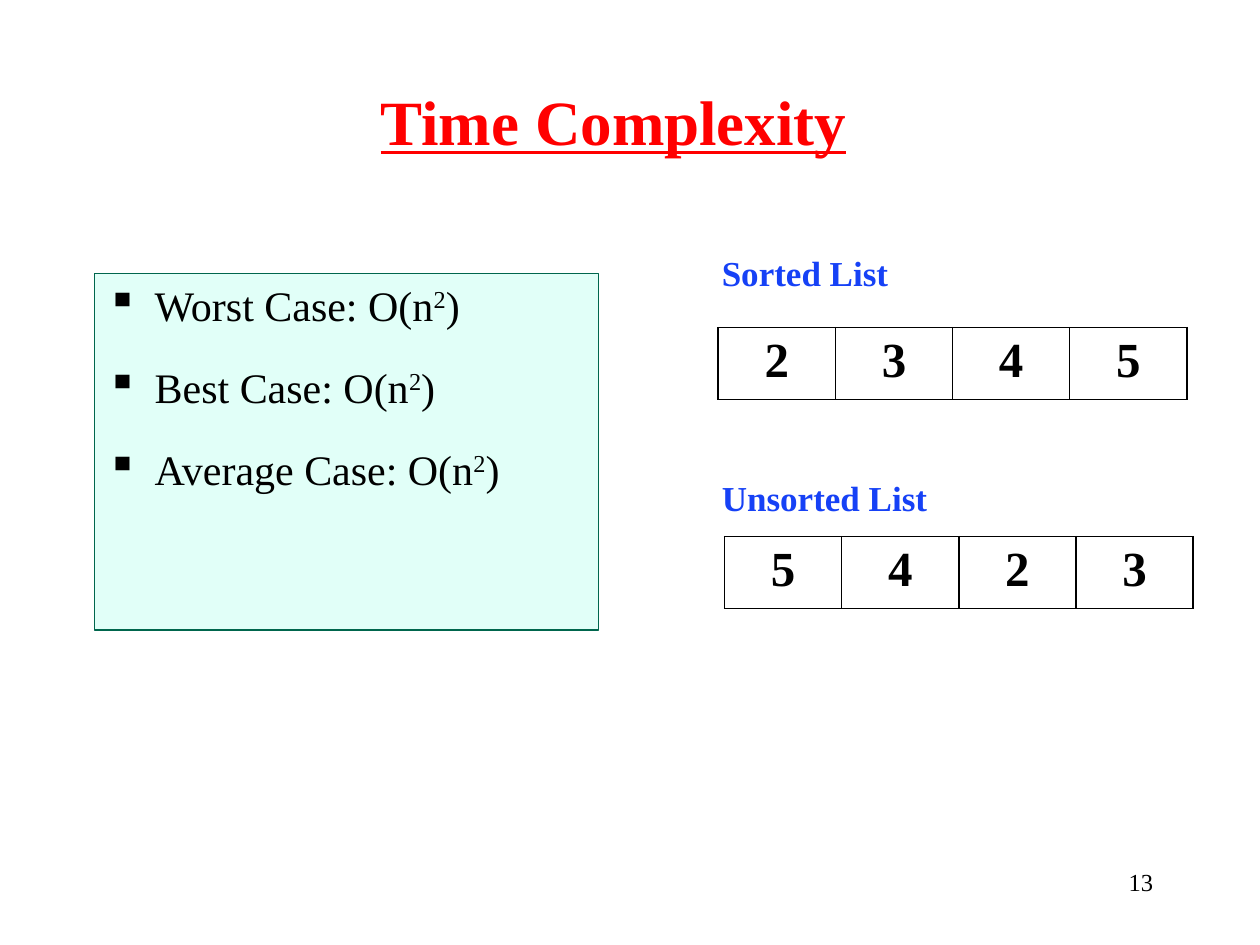
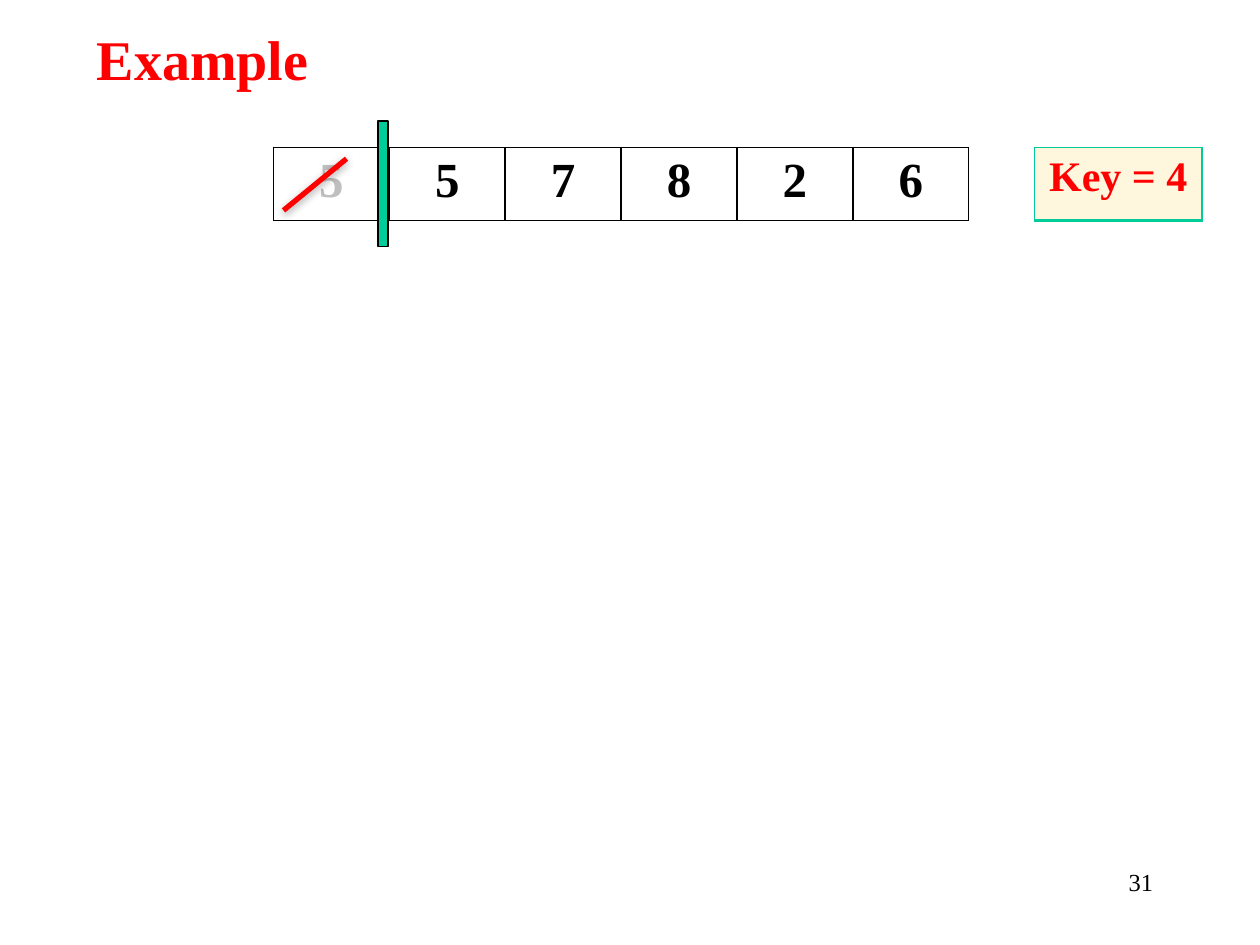
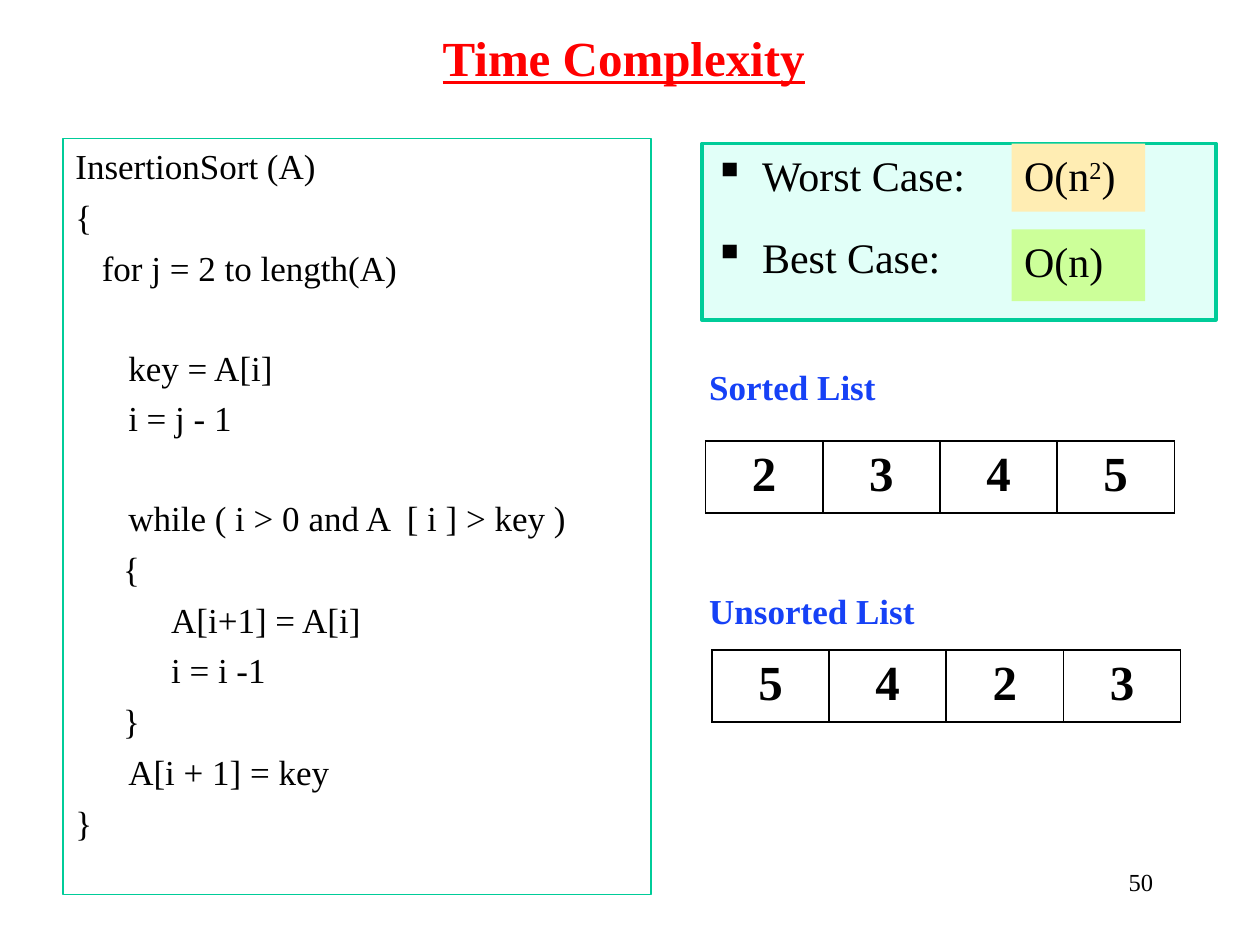
from lxml.etree import SubElement
from pptx import Presentation
from pptx.dml.color import RGBColor
from pptx.enum.shapes import MSO_CONNECTOR, MSO_SHAPE
from pptx.enum.text import MSO_ANCHOR, PP_ALIGN
from pptx.oxml.ns import qn
from pptx.util import Inches, Pt

FONT = "Times New Roman"
BLACK = RGBColor(0x00, 0x00, 0x00)
RED = RGBColor(0xFF, 0x00, 0x00)
BLUE = RGBColor(0x16, 0x41, 0xF6)
GREY = RGBColor(0xBF, 0xBF, 0xBF)
GREEN = RGBColor(0x00, 0xCC, 0x99)
DARK_GREEN = RGBColor(0x00, 0x66, 0x4D)
MINT = RGBColor(0xE1, 0xFF, 0xF8)
CREAM = RGBColor(0xFE, 0xF7, 0xDE)
AMBER = RGBColor(0xFF, 0xED, 0xB3)
LIME = RGBColor(0xCC, 0xFF, 0x99)

LINE_GAP = 5      # points between code lines
BLANK_LINE = 28   # points taken by a skipped code line
CODE = [  # text, indent in inches, lines skipped before it
    ("InsertionSort (A)", 0, 0),
    ("{", 0, 0),
    ("for j = 2 to length(A)", 0.21, 0),
    ("key = A[i]", 0.42, 1),
    ("i = j - 1", 0.42, 0),
    ("while ( i > 0 and A  [ i ] > key )", 0.42, 1),
    ("{", 0.38, 0),
    ("A[i+1] = A[i]", 0.76, 0),
    ("i = i -1", 0.76, 0),
    ("}", 0.38, 0),
    ("A[i + 1] = key", 0.42, 0),
    ("}", 0, 0),
]


def write(p, text, size=24, color=BLACK, bold=False, underline=False,
          align=PP_ALIGN.LEFT, before=0, indent=0, bullet=None):
    """Fill a paragraph; the character after each ^ is a superscript."""
    p.alignment = align
    p.space_before = Pt(before)
    head, *rest = text.split("^")
    pieces = [(head, False)]
    for part in rest:
        pieces += [(part[0], True), (part[1:], False)]
    for piece, raised in pieces:
        r = p.add_run()
        r.text = piece
        r.font.name = FONT
        r.font.size = Pt(size)
        r.font.color.rgb = color
        r.font.bold = bold
        r.font.underline = underline
        if raised:
            r._r.get_or_add_rPr().set("baseline", "30000")
    pPr = p._p.get_or_add_pPr()
    pPr.set("marL", str(Inches(indent)))
    if bullet:
        pPr.set("indent", str(-Inches(indent)))
        clr = SubElement(pPr, qn("a:buClr"))
        SubElement(clr, qn("a:srgbClr"), val=str(BLACK))
        SubElement(pPr, qn("a:buChar"), char=bullet)


def add_text(s, x, y, w, h, text, anchor=MSO_ANCHOR.TOP, wrap=True, **fmt):
    tf = s.shapes.add_textbox(Inches(x), Inches(y), Inches(w), Inches(h)).text_frame
    tf.word_wrap = wrap
    tf.vertical_anchor = anchor
    write(tf.paragraphs[0], text, **fmt)


def add_box(s, x, y, w, h, fill=None, line=None, width=1):
    sp = s.shapes.add_shape(MSO_SHAPE.RECTANGLE, Inches(x), Inches(y),
                            Inches(w), Inches(h))
    sp.shadow.inherit = False
    if fill is None:
        sp.fill.background()
    else:
        sp.fill.solid()
        sp.fill.fore_color.rgb = fill
    if line is None:
        sp.line.fill.background()
    else:
        sp.line.color.rgb = line
        sp.line.width = Pt(width)
    sp.text_frame.word_wrap = True
    sp.text_frame.vertical_anchor = MSO_ANCHOR.TOP
    return sp


def next_paragraph(tf, i):
    return tf.add_paragraph() if i else tf.paragraphs[0]


def add_bullets(s, x, y, w, h, items, **box):
    tf = add_box(s, x, y, w, h, fill=MINT, **box).text_frame
    for i, item in enumerate(items):
        write(next_paragraph(tf, i), item, align=PP_ALIGN.JUSTIFY,
              before=18 if i else 0, indent=0.38, bullet="▪")


def add_code(s, x, y, w, h):
    tf = add_box(s, x, y, w, h, line=GREEN).text_frame
    for i, (text, indent, skipped) in enumerate(CODE):
        write(next_paragraph(tf, i), text, size=20, indent=indent,
              before=LINE_GAP + BLANK_LINE * skipped if i else 0)


def add_cells(s, x, y, col, row, values, fill=None, border=BLACK, bottom=1,
              size=28, colors=None):
    """One-row table with a border round every cell."""
    n = len(values)
    table = s.shapes.add_table(1, n, Inches(x), Inches(y),
                               Inches(col * n), Inches(row)).table
    table.first_row = table.horz_banding = False
    for i, value in enumerate(values):
        table.columns[i].width = Inches(col)
        cell = table.cell(0, i)
        tcPr = cell._tc.get_or_add_tcPr()
        for side in "LRTB":
            width = bottom if side == "B" else 1
            ln = SubElement(tcPr, qn("a:ln" + side), w=str(Pt(width)))
            SubElement(SubElement(ln, qn("a:solidFill")), qn("a:srgbClr"),
                       val=str(border))
        if fill is None:
            cell.fill.background()
        else:
            cell.fill.solid()
            cell.fill.fore_color.rgb = fill
        write(cell.text_frame.paragraphs[0], value, size=size, bold=True,
              color=colors[i] if colors else BLACK, align=PP_ALIGN.CENTER)


def add_lists(s, x, y):
    """Sorted and unsorted sample lists, each under its label."""
    for label, values, top, dx, dy in [
        ("Unsorted List", "5423", 1.78, 0.12, 0.53),
        ("Sorted List", "2345", 0, 0.07, 0.65),
    ]:
        add_cells(s, x + dx, y + top + dy, 0.93, 0.57, values)
        add_text(s, x, y + top, 1.85, 0.44, label, wrap=False, size=20,
                 color=BLUE, bold=True)


def add_title(s, x, y, w, h, text, **fmt):
    add_text(s, x, y, w, h, text, anchor=MSO_ANCHOR.MIDDLE, color=RED,
             bold=True, **fmt)


def add_strike(s, x1, y1, x2, y2):
    """Red stroke with a soft shadow below it."""
    c = s.shapes.add_connector(MSO_CONNECTOR.STRAIGHT, Inches(x1), Inches(y1),
                               Inches(x2), Inches(y2))
    c.line.color.rgb = RED
    c.line.width = Pt(3)
    effects = SubElement(c._element.spPr, qn("a:effectLst"))
    shadow = SubElement(effects, qn("a:outerShdw"), blurRad=str(Pt(5)),
                        dist=str(Pt(1.8)), dir="5400000", rotWithShape="0")
    clr = SubElement(shadow, qn("a:srgbClr"), val=str(BLACK))
    SubElement(clr, qn("a:alpha"), val="35000")


def new_slide(prs, number):
    s = prs.slides.add_slide(prs.slide_layouts[6])
    add_text(s, 7.17, 6.83, 2.08, 0.5, number, size=14, align=PP_ALIGN.RIGHT)
    return s


def selection_complexity(prs):
    s = new_slide(prs, "13")
    add_title(s, 0.92, 0.41, 7.9, 1.09, "Time Complexity", size=36,
              underline=True, align=PP_ALIGN.CENTER)
    cases = [f"{case} Case: O(n^2)" for case in ("Worst", "Best", "Average")]
    add_bullets(s, 0.75, 2.17, 4, 2.83, cases, line=DARK_GREEN, width=0.75)
    add_lists(s, 5.63, 1.95)


def insertion_example(prs):
    s = new_slide(prs, "31")
    add_title(s, 0.67, 0.25, 8.92, 0.42, "Example", size=32)
    # Key and array
    x, y = 2.17, 1.17
    add_cells(s, 8.21, y, 1.33, 0.58, ["Key = 4"], fill=CREAM, border=GREEN,
              bottom=2, size=24, colors=[RED])
    add_cells(s, x, y, 0.92, 0.58, "557826", colors=[GREY] + [BLACK] * 5)
    # Divider after the sorted part, and the value struck out
    add_box(s, x + 0.83, y - 0.21, 0.08, 1, fill=GREEN, line=BLACK, width=0.75)
    add_strike(s, x + 0.58, y + 0.09, x + 0.08, y + 0.5)


def insertion_complexity(prs):
    s = new_slide(prs, "50")
    add_code(s, 0.5, 1.1, 4.67, 6)
    add_title(s, 1, 0.08, 7.9, 0.75, "Time Complexity", size=28,
              underline=True, align=PP_ALIGN.CENTER)
    # Cases with their highlighted orders
    add_bullets(s, 5.57, 1.14, 4.08, 1.4, ["Worst Case: ", "Best Case: "],
                line=GREEN, width=2)
    for text, y, h, fill in [("O(n^2)", 1.14, 0.54, AMBER),
                             ("O(n)", 1.82, 0.57, LIME)]:
        sp = add_box(s, 8.03, y, 1.06, h, fill=fill)
        write(sp.text_frame.paragraphs[0], text, align=PP_ALIGN.JUSTIFY)
    add_lists(s, 5.53, 2.85)


def main():
    prs = Presentation()
    prs.slide_width, prs.slide_height = Inches(10), Inches(7.5)
    selection_complexity(prs)
    insertion_example(prs)
    insertion_complexity(prs)
    prs.save("out.pptx")


if __name__ == "__main__":
    main()
